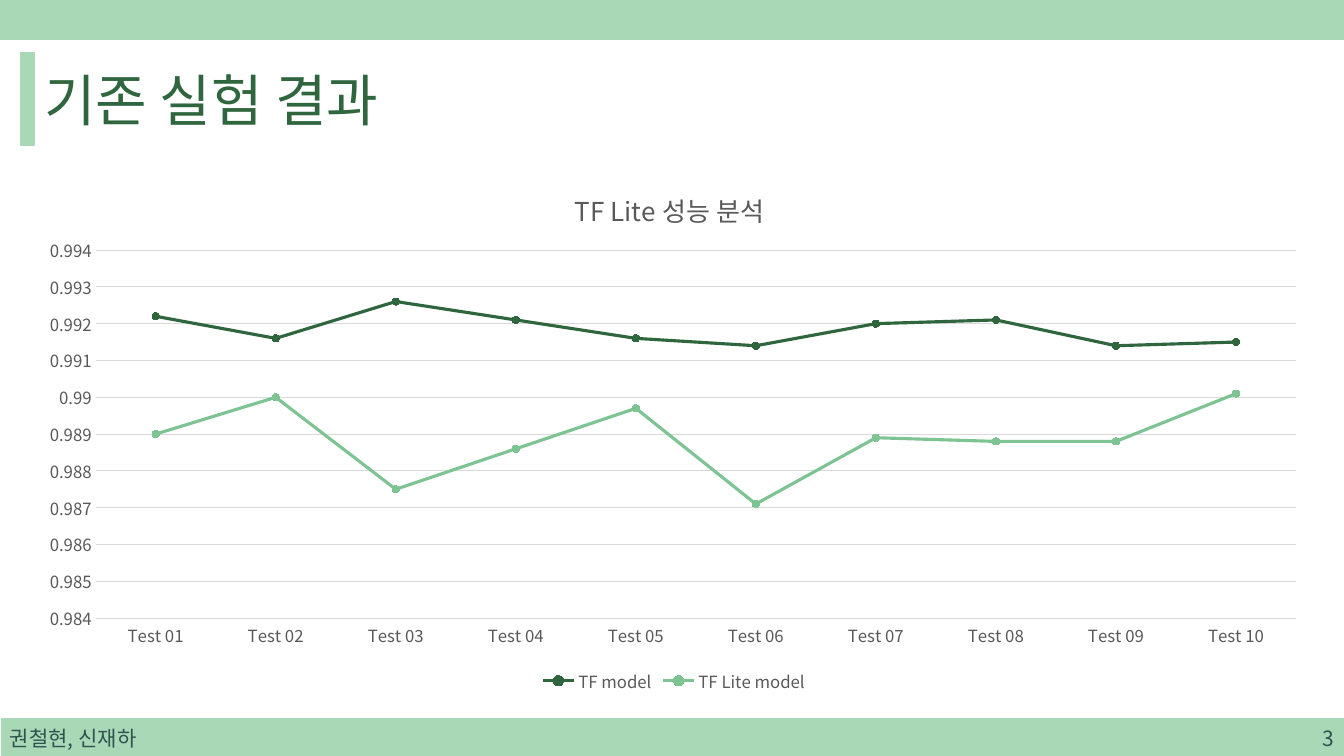
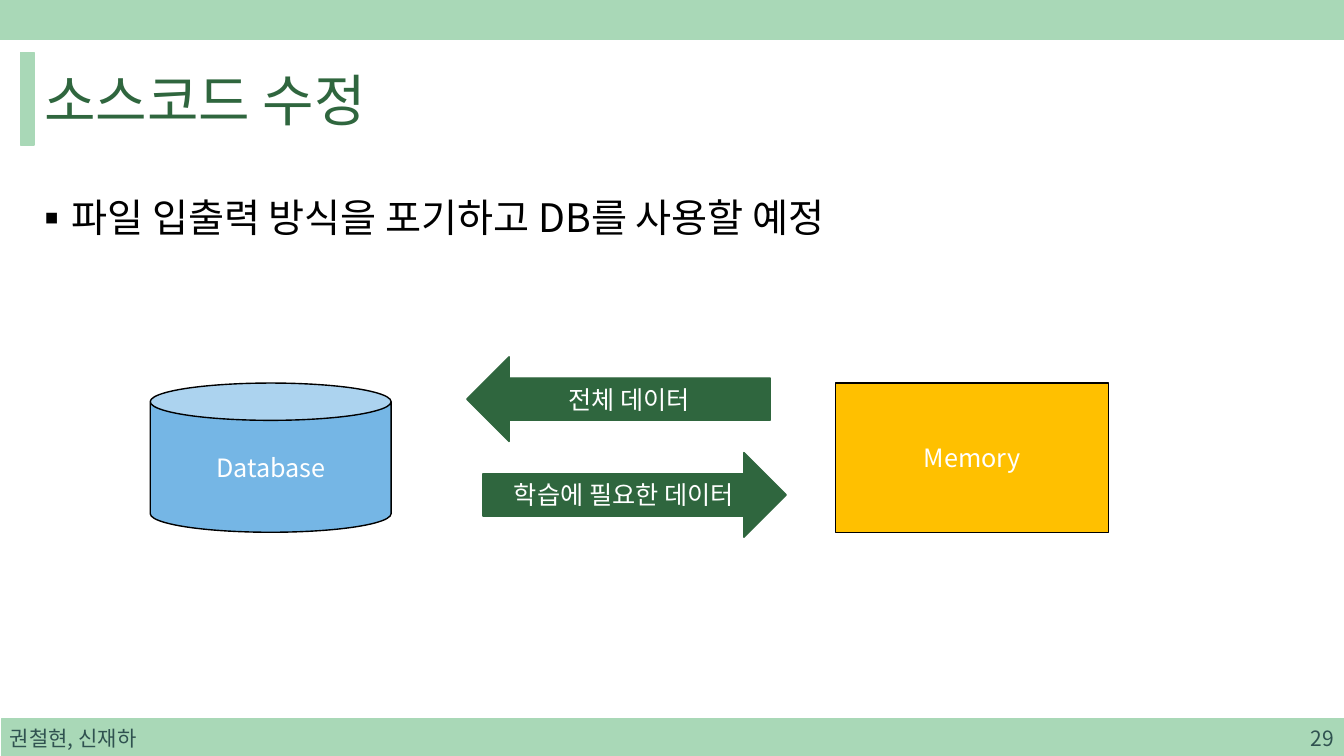
from lxml.etree import SubElement
from pptx import Presentation
from pptx.chart.data import CategoryChartData
from pptx.dml.color import RGBColor
from pptx.enum.chart import XL_CHART_TYPE, XL_LEGEND_POSITION, XL_MARKER_STYLE, XL_TICK_MARK
from pptx.enum.shapes import MSO_SHAPE
from pptx.enum.text import MSO_ANCHOR, MSO_AUTO_SIZE, PP_ALIGN
from pptx.oxml import parse_xml
from pptx.oxml.ns import nsdecls, qn
from pptx.util import Pt

FONT = "Noto Sans CJK KR"
COLORS = {
    "band": "A9D8B7", "dark": "2F663E", "light": "7EC492", "footer": "305250",
    "label": "595959", "grid": "D9D9D9", "database": "75B6E5", "memory": "FFC000",
    "black": "000000", "white": "FFFFFF",
}
SLIDE_WIDTH, SLIDE_HEIGHT = 960, 540
BAND_HEIGHT = 28
FOOTER_TOP = 513.4
AUTHORS = "권철현, 신재하"
TITLE_BOX = (24.5, 37.4, 921, 66.2)
BODY_BOX = (15.8, 117.4, 928, 382.3)
CHART_BOX = (17.3, 115.9, 928, 382.3)
DIAGRAM_BOX = (107.3, 254.9, 684.7, 128.9)


def color(name):
    """Return the named palette colour."""
    return RGBColor.from_string(COLORS[name])


def points(box):
    """Convert a box of numbers to lengths."""
    return [Pt(value) for value in box]


def style_font(font, size, color_name):
    """Set size, colour and face of a font."""
    font.size = Pt(size)
    font.name = FONT
    font.bold = False
    font.color.rgb = color(color_name)


def write_text(text_frame, text, size, color_name, alignment=PP_ALIGN.LEFT,
               anchor=MSO_ANCHOR.MIDDLE):
    """Write one formatted paragraph and return it."""
    text_frame.text = text
    text_frame.word_wrap = True
    text_frame.auto_size = MSO_AUTO_SIZE.NONE
    text_frame.vertical_anchor = anchor
    paragraph = text_frame.paragraphs[0]
    paragraph.alignment = alignment
    for run in paragraph.runs:
        style_font(run.font, size, color_name)
        set_east_asian_font(run)
    return paragraph


def set_east_asian_font(run):
    """Use the deck font for Korean letters too."""
    latin = run.font._element.find(qn("a:latin"))
    latin.addnext(parse_xml(f'<a:ea {nsdecls("a")} typeface="{FONT}"/>'))


def add_block(slide, preset, box, fill, line, text=""):
    """Add a filled preset shape with an optional centred label."""
    shape = slide.shapes.add_shape(preset, *points(box))
    shape.shadow.inherit = False
    shape.fill.solid()
    shape.fill.fore_color.rgb = color(fill)
    shape.line.color.rgb = color(line)
    shape.line.width = Pt(1)
    if text:
        write_text(shape.text_frame, text, 18, "white", PP_ALIGN.CENTER)
    return shape


def add_footer_text(slide, left, text, alignment):
    """Add one text of the footer band."""
    box = (left, FOOTER_TOP, 216, BAND_HEIGHT)
    text_box = slide.shapes.add_textbox(*points(box))
    write_text(text_box.text_frame, text, 15, "footer", alignment)


def add_base_slide(presentation, layout_index, title, number):
    """Add a slide with bands, title and footer."""
    slide = presentation.slides.add_slide(presentation.slide_layouts[layout_index])
    bands = [
        (0, 0, SLIDE_WIDTH, BAND_HEIGHT),
        (1.4, FOOTER_TOP, SLIDE_WIDTH, BAND_HEIGHT),
        (14.8, 37.4, 9.4, 66.2),
    ]
    for band in bands:
        add_block(slide, MSO_SHAPE.RECTANGLE, band, "band", "band")
    title_shape = slide.shapes.title
    place(title_shape, TITLE_BOX)
    write_text(title_shape.text_frame, title, 40, "dark")
    add_footer_text(slide, 0, AUTHORS, PP_ALIGN.LEFT)
    add_footer_text(slide, SLIDE_WIDTH - 216, str(number), PP_ALIGN.RIGHT)
    return slide


def place(shape, box):
    """Move a placeholder to a box."""
    shape.left, shape.top, shape.width, shape.height = points(box)


def set_layout(parent, after, fractions, inner=False):
    """Fix the position of a chart part by fractions of the chart."""
    for old in parent.findall(qn("c:layout")):
        parent.remove(old)
    layout = parse_xml(f'<c:layout {nsdecls("c")}/>')
    manual = SubElement(layout, qn("c:manualLayout"))
    settings = [("layoutTarget", "inner")] if inner else []
    settings += [("xMode", "edge"), ("yMode", "edge")]
    settings += list(zip("xywh", fractions))
    for name, value in settings:
        SubElement(manual, qn(f"c:{name}")).set("val", str(value))
    if after is None:
        parent.insert(0, layout)
    else:
        after.addnext(layout)


def style_axis(axis):
    """Apply the shared look of both axes."""
    axis.major_tick_mark = XL_TICK_MARK.NONE
    axis.minor_tick_mark = XL_TICK_MARK.NONE
    style_font(axis.tick_labels.font, 12, "label")


def style_value_axis(axis):
    """Set the scale and grid of the value axis."""
    style_axis(axis)
    axis.minimum_scale, axis.maximum_scale, axis.major_unit = 0.984, 0.994, 0.001
    axis.tick_labels.number_format = "General"
    axis.tick_labels.number_format_is_linked = False
    axis.format.line.fill.background()
    axis.major_gridlines.format.line.color.rgb = color("grid")
    axis.major_gridlines.format.line.width = Pt(0.75)


def style_series(series, color_name):
    """Colour a line and its round markers."""
    series.smooth = False
    series.format.line.color.rgb = color(color_name)
    series.format.line.width = Pt(2.25)
    marker = series.marker
    marker.style = XL_MARKER_STYLE.CIRCLE
    marker.size = 5
    marker.format.fill.solid()
    marker.format.fill.fore_color.rgb = color(color_name)
    marker.format.line.color.rgb = color(color_name)


def add_accuracy_chart(slide, box):
    """Add the line chart comparing both models."""
    data = CategoryChartData()
    data.categories = [f"Test {number:02d}" for number in range(1, 11)]
    data.add_series("TF model", [0.9922, 0.9916, 0.9926, 0.9921, 0.9916,
                                 0.9914, 0.992, 0.9921, 0.9914, 0.9915])
    data.add_series("TF Lite model", [0.989, 0.99, 0.9875, 0.9886, 0.9897,
                                      0.9871, 0.9889, 0.9888, 0.9888, 0.9901])
    chart = slide.shapes.add_chart(XL_CHART_TYPE.LINE_MARKERS, *points(box), data).chart
    style_font(chart.font, 10, "black")

    chart.has_title = True
    write_text(chart.chart_title.text_frame, "TF Lite 성능 분석", 18.6, "label",
               PP_ALIGN.CENTER)
    title = chart.chart_title._element
    set_layout(title, title.find(qn("c:tx")), (0.42, 0.04))
    set_layout(chart.element.find(".//" + qn("c:plotArea")), None,
               (0.055, 0.164, 0.924, 0.688), inner=True)

    style_axis(chart.category_axis)
    chart.category_axis.format.line.color.rgb = color("grid")
    chart.category_axis.format.line.width = Pt(0.75)
    style_value_axis(chart.value_axis)

    plot = chart.plots[0]
    plot.vary_by_categories = False
    for series, color_name in zip(plot.series, ("dark", "light")):
        style_series(series, color_name)

    chart.has_legend = True
    chart.legend.position = XL_LEGEND_POSITION.BOTTOM
    chart.legend.include_in_layout = False
    style_font(chart.legend.font, 12, "label")


def add_bullet(slide, box, text):
    """Fill the body placeholder with one bullet."""
    body = slide.placeholders[1]
    place(body, box)
    paragraph = write_text(body.text_frame, text, 28, "black", anchor=MSO_ANCHOR.TOP)
    paragraph.line_spacing = 1.5
    paragraph.space_before = Pt(0)
    properties = paragraph._p.get_or_add_pPr()
    properties.set("marL", str(Pt(18)))
    properties.set("indent", str(Pt(-18)))
    SubElement(properties, qn("a:buFont")).set("typeface", FONT)
    SubElement(properties, qn("a:buChar")).set("char", "▪")


def add_data_flow(slide, box):
    """Draw the exchange between database and memory."""
    left, top, width, height = box
    node_top, node_height = top + 18.7, 106.6
    memory_width = 195.1
    arrow_width, arrow_height = 216.7, 60.5
    add_block(slide, MSO_SHAPE.CAN, (left, node_top, 172.1, node_height),
              "database", "black", "Database")
    add_block(slide, MSO_SHAPE.RECTANGLE,
              (left + width - memory_width, node_top, memory_width, node_height),
              "memory", "black", "Memory")
    add_block(slide, MSO_SHAPE.LEFT_ARROW,
              (left + 226.1, top, arrow_width, arrow_height),
              "dark", "dark", "전체 데이터")
    add_block(slide, MSO_SHAPE.RIGHT_ARROW,
              (left + 237.6, top + height - arrow_height, arrow_width, arrow_height),
              "dark", "dark", "학습에 필요한 데이터")


def build():
    """Build and save the presentation."""
    presentation = Presentation()
    presentation.slide_width, presentation.slide_height = Pt(SLIDE_WIDTH), Pt(SLIDE_HEIGHT)

    result_slide = add_base_slide(presentation, 5, "기존 실험 결과", 3)
    add_accuracy_chart(result_slide, CHART_BOX)

    source_slide = add_base_slide(presentation, 1, "소스코드 수정", 29)
    add_bullet(source_slide, BODY_BOX, "파일 입출력 방식을 포기하고 DB를 사용할 예정")
    add_data_flow(source_slide, DIAGRAM_BOX)

    presentation.save("out.pptx")


build()
